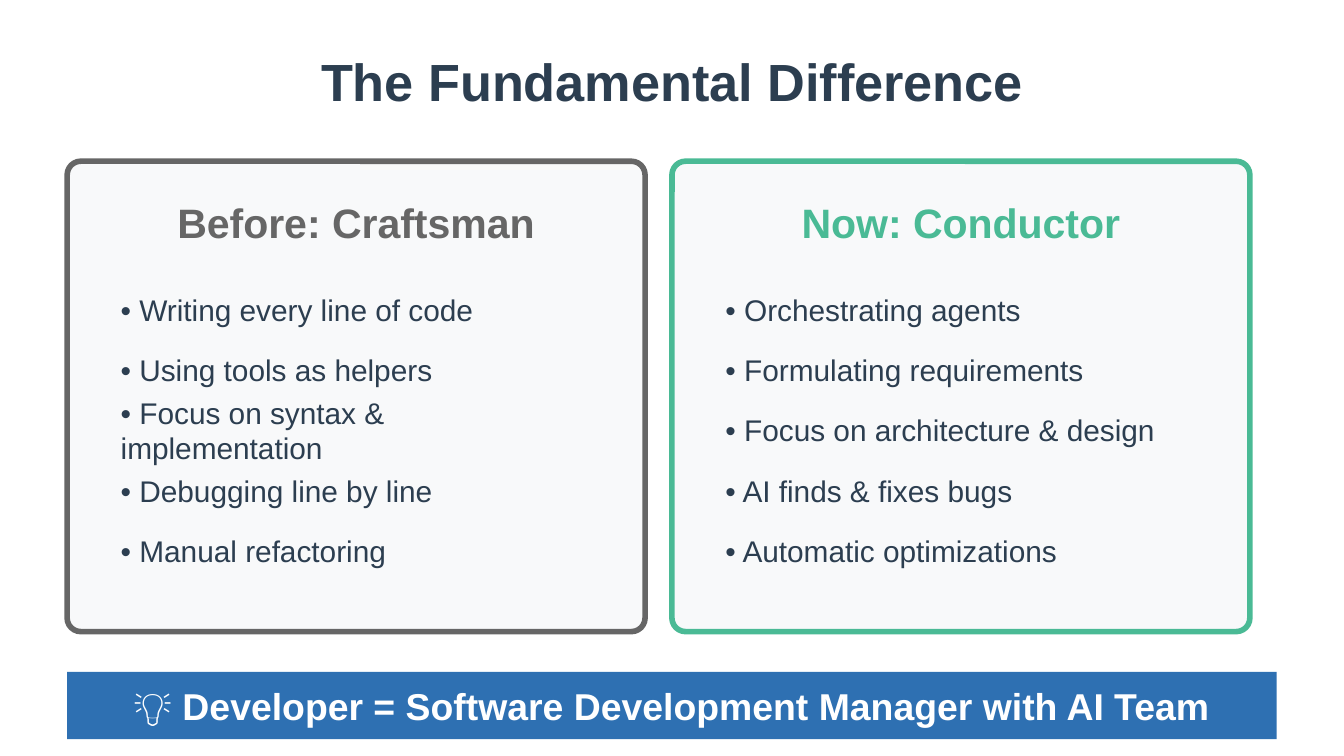
from pptx import Presentation
from pptx.dml.color import RGBColor
from pptx.enum.shapes import MSO_SHAPE
from pptx.enum.text import MSO_ANCHOR, PP_ALIGN
from pptx.util import Pt

ROUNDED, RECTANGLE = MSO_SHAPE.ROUNDED_RECTANGLE, MSO_SHAPE.RECTANGLE
LEFT, CENTER = PP_ALIGN.LEFT, PP_ALIGN.CENTER
MIDDLE = MSO_ANCHOR.MIDDLE

NAVY = RGBColor(0x2C, 0x3E, 0x50)
GRAY = RGBColor(0x66, 0x66, 0x66)
GREEN = RGBColor(0x4A, 0xBA, 0x95)
BLUE = RGBColor(0x2E, 0x70, 0xB2)
PALE = RGBColor(0xF8, 0xF9, 0xFA)
WHITE = RGBColor(0xFF, 0xFF, 0xFF)

FONT = "Arial"
TITLE_LAYOUT = 5
MARGIN = 36
CARD_WIDTH, CARD_GAP = 309.6, 14.4
ROW_HEIGHT, ROW_STEP = 28.8, 32.4

CARDS = [
    ("Before: Craftsman", GRAY, [
        "Writing every line of code",
        "Using tools as helpers",
        "Focus on syntax & implementation",
        "Debugging line by line",
        "Manual refactoring",
    ]),
    ("Now: Conductor", GREEN, [
        "Orchestrating agents",
        "Formulating requirements",
        "Focus on architecture & design",
        "AI finds & fixes bugs",
        "Automatic optimizations",
    ]),
]


def write(shape, text, size, color, bold=False, align=CENTER):
    frame = shape.text_frame
    frame.word_wrap = True
    frame.vertical_anchor = MIDDLE
    para = frame.paragraphs[0]
    para.alignment = align
    span = para.add_run()
    span.text = text
    span.font.name = FONT
    span.font.size = Pt(size)
    span.font.bold = bold
    span.font.color.rgb = color


def add_label(page, box, text, size, color, bold=False, align=CENTER):
    label = page.shapes.add_textbox(*map(Pt, box))
    write(label, text, size, color, bold, align)


def add_panel(page, kind, box, fill, line=None):
    panel = page.shapes.add_shape(kind, *map(Pt, box))
    panel.shadow.inherit = False
    panel.fill.solid()
    panel.fill.fore_color.rgb = fill
    if line is None:
        panel.line.fill.background()
    else:
        panel.line.color.rgb = line
        panel.line.width = Pt(3)
    return panel


def add_title(page, box, text):
    title = page.shapes.title
    title.left, title.top, title.width, title.height = map(Pt, box)
    write(title, text, 28, NAVY, bold=True)


def add_card(page, box, heading, accent, items):
    left, top, width, height = box
    panel = add_panel(page, ROUNDED, box, PALE, accent)
    panel.adjustments[0] = 0.029

    # Heading
    heading_box = (left + 14.4, top + 14.4, width - 28.8, 36)
    add_label(page, heading_box, heading, 22, accent, bold=True)

    # Evenly spaced list rows
    for row, item in enumerate(items):
        row_box = (left + 21.6, top + 64.8 + row * ROW_STEP,
                   width - 43.2, ROW_HEIGHT)
        add_label(page, row_box, "• " + item, 16, NAVY, align=LEFT)


def add_banner(page, box, text):
    banner = add_panel(page, RECTANGLE, box, BLUE)
    write(banner, text, 20, WHITE, bold=True)


def main():
    deck = Presentation()
    deck.slide_width, deck.slide_height = Pt(720), Pt(405)
    page = deck.slides.add_slide(deck.slide_layouts[TITLE_LAYOUT])

    # Title
    add_title(page, (MARGIN, 21.6, 648, 43.2), "The Fundamental Difference")

    # Comparison cards
    for column, (heading, accent, items) in enumerate(CARDS):
        left = MARGIN + column * (CARD_WIDTH + CARD_GAP)
        add_card(page, (left, 86.4, CARD_WIDTH, 252), heading, accent, items)

    # Conclusion
    add_banner(page, (MARGIN, 360, 648, 36),
               "💡 Developer = Software Development Manager with AI Team")

    deck.save("out.pptx")


if __name__ == "__main__":
    main()
